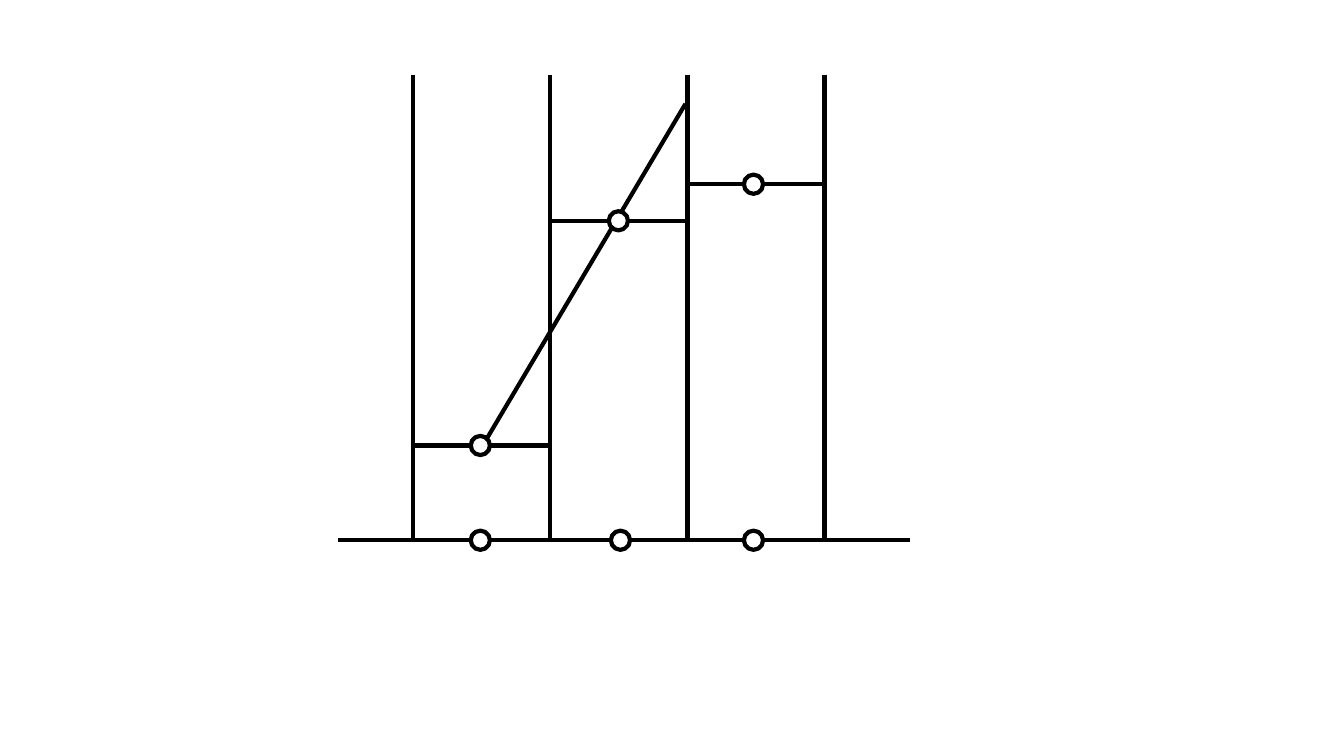
from dataclasses import dataclass

from lxml import etree
from pptx import Presentation
from pptx.dml.color import RGBColor
from pptx.enum import shapes as kinds
from pptx.oxml import ns
from pptx.slide import Slide
from pptx.util import Pt

BLACK = RGBColor(0, 0, 0)
WHITE = RGBColor(255, 255, 255)
STROKE = 3
DOT = 13.7

LEFT, STEP = 295.2, 97.92
TOP, BASE = 53.3, 385.9
WALLS = [LEFT + i * STEP for i in range(4)]


@dataclass
class Cell:
    level: float
    mid: float  # centre of the dot on the level
    foot: float  # centre of the dot on the axis


CELLS = [
    Cell(318.2, 343.1, 343.1),
    Cell(157.7, 441.7, 443.2),
    Cell(131.6, 538.2, 538.2),
]


def add_line(slide: Slide, x1: float, y1: float, x2: float, y2: float) -> None:
    line = slide.shapes.add_connector(
        kinds.MSO_CONNECTOR.STRAIGHT, Pt(x1), Pt(y1), Pt(x2), Pt(y2))
    line.line.color.rgb = BLACK
    line.line.width = Pt(STROKE)
    etree.SubElement(line._element.spPr, ns.qn("a:effectLst"))


def add_dot(slide: Slide, x: float, y: float) -> None:
    dot = slide.shapes.add_shape(
        kinds.MSO_SHAPE.OVAL, Pt(x - DOT / 2), Pt(y - DOT / 2), Pt(DOT), Pt(DOT))
    dot.shadow.inherit = False
    dot.fill.solid()
    dot.fill.fore_color.rgb = WHITE
    dot.line.color.rgb = BLACK
    dot.line.width = Pt(STROKE)


def main() -> None:
    deck = Presentation()
    deck.slide_width, deck.slide_height = Pt(960), Pt(540)
    slide = deck.slides.add_slide(deck.slide_layouts[6])

    add_line(slide, 489.6, 74.2, 347.8, 313.2)  # slope
    add_line(slide, 241.2, BASE, 650.2, BASE)  # axis
    for x in WALLS:
        add_line(slide, x, TOP, x, BASE)
    for cell in CELLS:
        add_dot(slide, cell.foot, BASE)
    for cell, start, end in zip(CELLS, WALLS, WALLS[1:]):
        add_line(slide, end, cell.level, start, cell.level)
    for cell in CELLS:
        add_dot(slide, cell.mid, cell.level)

    deck.save("out.pptx")


if __name__ == "__main__":
    main()
